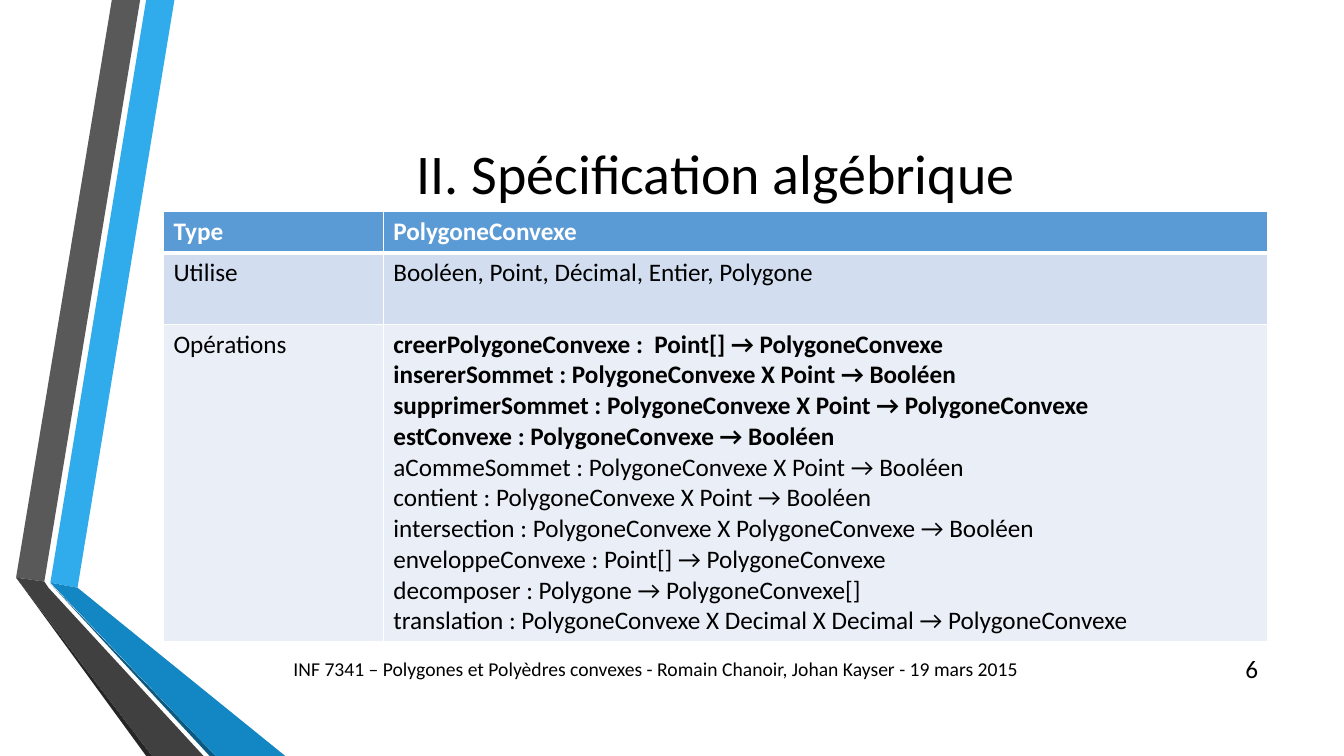
import pptx
import pptx.util
import pptx.dml.color
import pptx.enum.text
import pptx.oxml
import pptx.oxml.ns

Pt = pptx.util.Pt
ANCHOR = pptx.enum.text.MSO_ANCHOR
ALIGN = pptx.enum.text.PP_ALIGN

COLORS = {
    "text": "000000", "white": "FFFFFF",
    "blue": "30ACEC", "blue_fold": "1287C3", "blue_edge": "0C5A82",
    "grey": "595959", "grey_fold": "404040", "grey_edge": "262626",
    "header": "5B9BD5", "band_dark": "D2DEEF", "band_light": "EAEFF7",
}
FONT = "Calibri"
SLIDE_W, SLIDE_H = 960, 540

# Points of each ribbon part, relative to the top left of its box
RIBBONS = [
    ("blue", [(36, 416.2), (55.4, 419.8), (124.6, 0), (104.4, 0)]),
    ("grey", [(100.1, 0), (79.9, 0), (11.5, 412.6), (31.7, 415.4)]),
    ("grey_edge", [(11.5, 412.6), (104.4, 540), (108.7, 540)]),
    ("blue_edge", [(36, 416.9), (149.8, 540), (154.1, 540)]),
    ("blue_fold", [(36, 416.2), (154.1, 540), (203.8, 540), (55.4, 419.8)]),
    ("grey_fold", [(11.5, 412.6), (108.7, 540), (145.4, 540), (34.6, 419.8), (31.7, 415.4)]),
]

KEY_OPERATIONS = [
    "creerPolygoneConvexe :  Point[] → PolygoneConvexe",
    "insererSommet : PolygoneConvexe X Point → Booléen",
    "supprimerSommet : PolygoneConvexe X Point → PolygoneConvexe",
    "estConvexe : PolygoneConvexe → Booléen",
]
OTHER_OPERATIONS = [
    "aCommeSommet : PolygoneConvexe X Point → Booléen",
    "contient : PolygoneConvexe X Point → Booléen",
    "intersection : PolygoneConvexe X PolygoneConvexe → Booléen",
    "enveloppeConvexe : Point[] → PolygoneConvexe",
    "decomposer : Polygone → PolygoneConvexe[]",
    "translation : PolygoneConvexe X Decimal X Decimal → PolygoneConvexe",
]
# Label, lines, number of leading bold lines, fill, row height
SPECIFICATION = [
    ("Type", ["PolygoneConvexe"], 1, "header", 29),
    ("Utilise", ["Booléen, Point, Décimal, Entier, Polygone"], 0, "band_dark", 51),
    ("Opérations", KEY_OPERATIONS + OTHER_OPERATIONS, len(KEY_OPERATIONS), "band_light", 227),
]


def rgb(name):
    return pptx.dml.color.RGBColor.from_string(COLORS[name])


def write_lines(frame, lines, size, color="text", bold_count=0, align=ALIGN.LEFT):
    """Write one paragraph per line; the first bold_count lines are bold."""
    for index, line in enumerate(lines):
        paragraph = frame.paragraphs[0] if index == 0 else frame.add_paragraph()
        paragraph.alignment = align
        run = paragraph.add_run()
        run.text = line
        formats = {"name": FONT, "size": Pt(size), "bold": index < bold_count}
        for attribute, value in formats.items():
            setattr(run.font, attribute, value)
        run.font.color.rgb = rgb(color)


def set_frame(frame):
    formats = {
        "word_wrap": True,
        "auto_size": pptx.enum.text.MSO_AUTO_SIZE.NONE,
        "vertical_anchor": ANCHOR.MIDDLE,
    }
    for attribute, value in formats.items():
        setattr(frame, attribute, value)


def add_ribbons(slide, left, top):
    for color, points in RIBBONS:
        corners = [(Pt(left + x), Pt(top + y)) for x, y in points]
        builder = slide.shapes.build_freeform(*corners[0])
        builder.add_line_segments(corners[1:], close=True)
        ribbon = builder.convert_to_shape()
        ribbon.shadow.inherit = False
        ribbon.fill.solid()
        ribbon.fill.fore_color.rgb = rgb(color)
        ribbon.line.fill.background()


def place_title(slide, left, top, width, height):
    title = slide.shapes.title
    box = {"left": left, "top": top, "width": width, "height": height}
    for attribute, value in box.items():
        setattr(title, attribute, Pt(value))
    set_frame(title.text_frame)
    write_lines(title.text_frame, ["II. Spécification algébrique"], 40, align=ALIGN.CENTER)


def set_borders(cell, widths):
    """Draw white cell borders; widths maps L, R, T, B to points."""
    properties = cell._tc.get_or_add_tcPr()
    for position, (side, width) in enumerate(widths.items()):
        border = pptx.oxml.parse_xml(
            f'<a:ln{side} {pptx.oxml.ns.nsdecls("a")} w="{Pt(width)}"><a:solidFill>'
            f'<a:srgbClr val="{COLORS["white"]}"/></a:solidFill></a:ln{side}>')
        properties.insert(position, border)


def add_specification(slide, left, top, width, label_width):
    heights = [row[-1] for row in SPECIFICATION]
    table = slide.shapes.add_table(len(heights), 2, Pt(left), Pt(top),
                                   Pt(width), Pt(sum(heights))).table
    table.columns[0].width = Pt(label_width)
    table.columns[1].width = Pt(width - label_width)
    for index, (label, lines, bold_count, fill, height) in enumerate(SPECIFICATION):
        table.rows[index].height = Pt(height)
        is_header = index == 0
        color = "white" if is_header else "text"
        widths = {"L": 1, "R": 1, "T": 3 if index == 1 else 1, "B": 3 if is_header else 1}
        contents = [([label], int(is_header)), (lines, bold_count)]
        for column, (cell_lines, cell_bold) in enumerate(contents):
            cell = table.cell(index, column)
            cell.fill.solid()
            cell.fill.fore_color.rgb = rgb(fill)
            set_borders(cell, widths)
            write_lines(cell.text_frame, cell_lines, 18, color, cell_bold)


def add_footer(slide, left, top, width, height):
    course_width, number_width = 558, 43
    course = "INF 7341 – Polygones et Polyèdres convexes - Romain Chanoir, Johan Kayser - 19 mars 2015"
    parts = [
        (course, left, course_width, 14, ALIGN.LEFT),
        ("6", left + width - number_width, number_width, 18, ALIGN.RIGHT),
    ]
    for text, part_left, part_width, size, align in parts:
        frame = slide.shapes.add_textbox(Pt(part_left), Pt(top), Pt(part_width), Pt(height)).text_frame
        set_frame(frame)
        write_lines(frame, [text], size, align=align)


def main():
    deck = pptx.Presentation()
    deck.slide_width, deck.slide_height = Pt(SLIDE_W), Pt(SLIDE_H)
    slide = deck.slides.add_slide(deck.slide_layouts.get_by_name("Title Only"))
    slide.background.fill.solid()
    slide.background.fill.fore_color.rgb = rgb("white")
    add_ribbons(slide, 0, 0)
    place_title(slide, 116.8, 54, 789, 138)
    add_specification(slide, 116.8, 151.3, 789, 157)
    add_footer(slide, 202.5, 463, 703.3, 29)
    deck.save("out.pptx")


if __name__ == "__main__":
    main()
